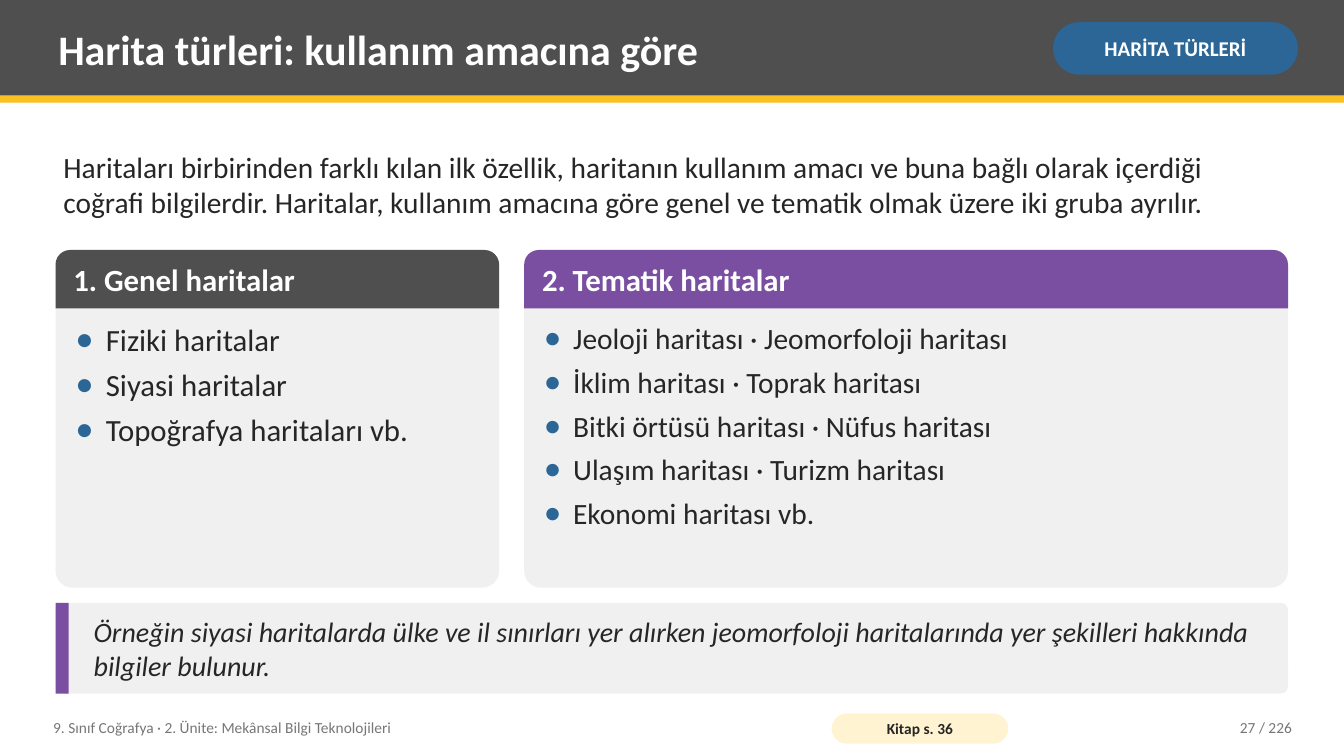
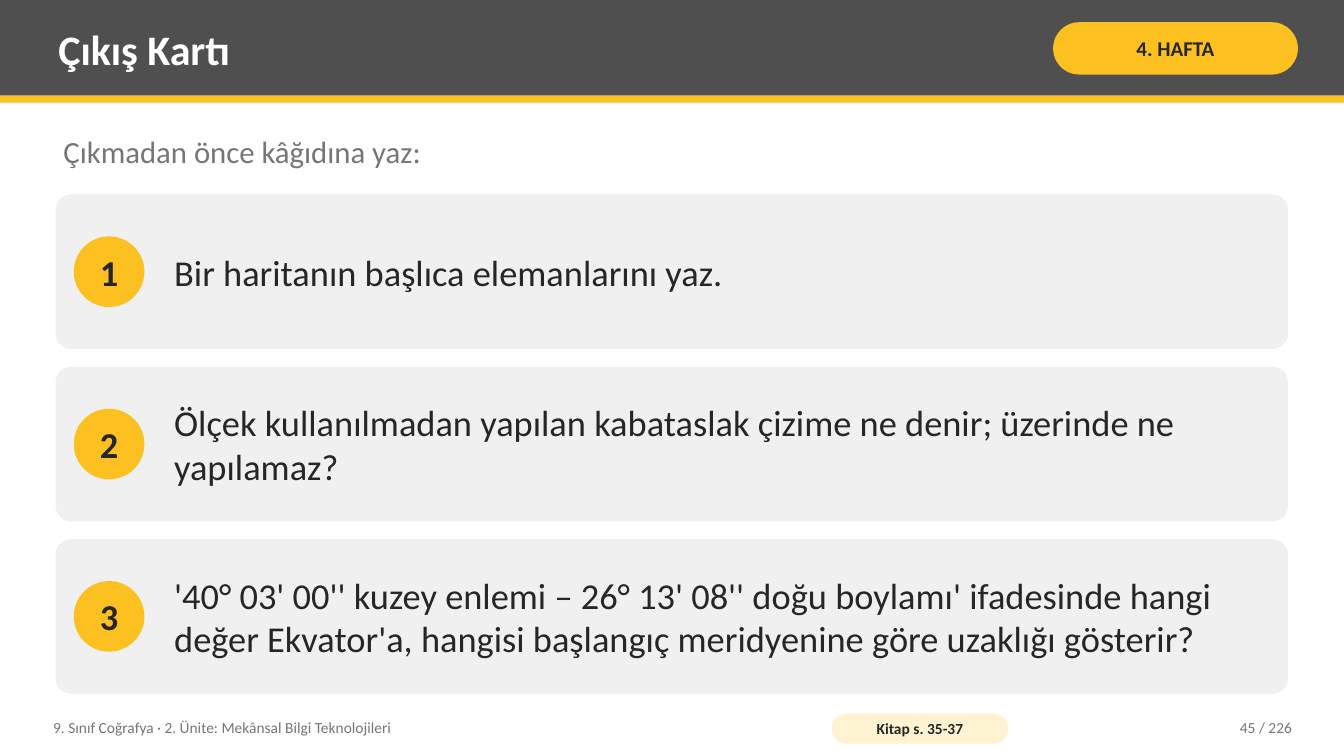
from dataclasses import dataclass

from lxml import etree
from pptx import Presentation
from pptx.dml.color import RGBColor
from pptx.enum import shapes, text
from pptx.oxml import ns
from pptx.util import Cm, Pt


@dataclass(frozen=True)
class Theme:
    font: str = "Calibri"
    dark: str = "4F4F4F"
    gold: str = "FCC021"
    cream: str = "FFF3D1"
    blue: str = "2C6696"
    purple: str = "7A4EA0"
    panel: str = "F0F0F0"
    ink: str = "262626"
    muted: str = "767676"
    white: str = "FFFFFF"
    title: int = 30
    question: int = 26
    heading: int = 22
    body: int = 21
    quote: int = 20
    tag: int = 15
    footer: int = 11


T = Theme()
SHAPE = shapes.MSO_SHAPE
ALIGN = text.PP_ALIGN
ANCHOR = text.MSO_ANCHOR

SLIDE_W, SLIDE_H = 33.87, 19.05
LEFT, WIDTH, BOTTOM = 1.4, 31.06, 17.48

COURSE = "9. Sınıf Coğrafya · 2. Ünite: Mekânsal Bilgi Teknolojileri"
TOTAL = 226

MAP_TYPES = {
    "title": "Harita türleri: kullanım amacına göre",
    "tag": ("HARİTA TÜRLERİ", T.blue, T.white),
    "book": "Kitap s. 36",
    "page": 27,
    "intro": "Haritaları birbirinden farklı kılan ilk özellik, haritanın kullanım amacı "
             "ve buna bağlı olarak içerdiği coğrafi bilgilerdir. Haritalar, kullanım "
             "amacına göre genel ve tematik olmak üzere iki gruba ayrılır.",
    "cards": [
        ("1. Genel haritalar", T.dark, 11.18, T.heading, [
            "Fiziki haritalar",
            "Siyasi haritalar",
            "Topoğrafya haritaları vb.",
        ]),
        ("2. Tematik haritalar", T.purple, 19.25, T.body, [
            "Jeoloji haritası · Jeomorfoloji haritası",
            "İklim haritası · Toprak haritası",
            "Bitki örtüsü haritası · Nüfus haritası",
            "Ulaşım haritası · Turizm haritası",
            "Ekonomi haritası vb.",
        ]),
    ],
    "example": "Örneğin siyasi haritalarda ülke ve il sınırları yer alırken jeomorfoloji "
               "haritalarında yer şekilleri hakkında bilgiler bulunur.",
}

EXIT_CARD = {
    "title": "Çıkış Kartı",
    "tag": ("4. HAFTA", T.gold, T.ink),
    "book": "Kitap s. 35-37",
    "page": 45,
    "prompt": "Çıkmadan önce kâğıdına yaz:",
    "questions": [
        "Bir haritanın başlıca elemanlarını yaz.",
        "Ölçek kullanılmadan yapılan kabataslak çizime ne denir; üzerinde ne yapılamaz?",
        "'40° 03' 00'' kuzey enlemi – 26° 13' 08'' doğu boylamı' ifadesinde hangi değer "
        "Ekvator'a, hangisi başlangıç meridyenine göre uzaklığı gösterir?",
    ],
}


def write(sp, lines, size, color, bold=False, italic=False, align=ALIGN.LEFT,
          anchor=ANCHOR.MIDDLE, inset=(0.2, 0.1)):
    tf = sp.text_frame
    tf.word_wrap = True
    tf.vertical_anchor = anchor
    tf.margin_left = tf.margin_right = Cm(inset[0])
    tf.margin_top = tf.margin_bottom = Cm(inset[1])
    tf.text = "\n".join(lines)
    for p in tf.paragraphs:
        p.alignment = align
        for r in p.runs:
            f = r.font
            f.name, f.size, f.bold, f.italic = T.font, Pt(size), bold, italic
            f.color.rgb = RGBColor.from_string(color)
    return tf


def label(s, box, content, size, color, **style):
    sp = s.shapes.add_textbox(*map(Cm, box))
    lines = [content] if isinstance(content, str) else content
    return write(sp, lines, size, color, **style)


def block(s, kind, box, fill, *adjust):
    sp = s.shapes.add_shape(kind, *map(Cm, box))
    sp.shadow.inherit = False
    sp.fill.solid()
    sp.fill.fore_color.rgb = RGBColor.from_string(fill)
    sp.line.fill.background()
    for i, value in enumerate(adjust):
        sp.adjustments[i] = value
    return sp


def pill(s, box, fill, content, size, color, inset):
    sp = block(s, SHAPE.ROUNDED_RECTANGLE, box, fill, 0.5)
    write(sp, [content], size, color, bold=True, align=ALIGN.CENTER, inset=inset)


def add_bullets(tf, indent):
    for p in tf.paragraphs:
        pPr = p._p.get_or_add_pPr()
        pPr.set("marL", str(Cm(indent)))
        pPr.set("indent", str(-Cm(indent)))
        clr = etree.SubElement(pPr, ns.qn("a:buClr"))
        etree.SubElement(clr, ns.qn("a:srgbClr"), val=T.blue)
        etree.SubElement(pPr, ns.qn("a:buSzPct"), val="120000")
        etree.SubElement(pPr, ns.qn("a:buFont"), typeface=T.font)
        etree.SubElement(pPr, ns.qn("a:buChar"), char="•")
    for p in tf.paragraphs[:-1]:
        p.space_after = Pt(6)


def new_slide(prs, data):
    s = prs.slides.add_slide(prs.slide_layouts[6])
    block(s, SHAPE.RECTANGLE, (0, 0, SLIDE_W, 2.41), T.dark)
    block(s, SHAPE.RECTANGLE, (0, 2.41, SLIDE_W, 0.18), T.gold)
    label(s, (1.27, 0.18, 24.77, 2.08), data["title"], T.title, T.white, bold=True)
    tag, fill, color = data["tag"]
    pill(s, (26.54, 0.56, 6.17, 1.32), fill, tag, T.tag, color, (0.13, 0.05))
    label(s, (1.14, 17.88, 19.3, 0.91), COURSE, T.footer, T.muted)
    pill(s, (20.96, 17.98, 4.45, 0.76), T.cream, data["book"], T.footer, T.ink, (0.1, 0))
    label(s, (28.7, 17.88, 4.06, 0.91), f"{data['page']} / {TOTAL}", T.footer, T.muted,
          align=ALIGN.RIGHT)
    return s


def map_types_slide(prs, data):
    s = new_slide(prs, data)
    label(s, (LEFT, 3.3, WIDTH, 2.67), data["intro"], T.body, T.ink)

    top, height, head = 6.3, 8.51, 1.47
    cards = data["cards"]
    gap = (WIDTH - sum(card[2] for card in cards)) / (len(cards) - 1)
    x = LEFT
    for heading, color, w, size, items in cards:
        block(s, SHAPE.ROUNDED_RECTANGLE, (x, top, w, height), T.panel, 0.05)
        block(s, SHAPE.ROUND_2_SAME_RECTANGLE, (x, top, w, head), color, 0.25, 0)
        label(s, (x + 0.25, top, w - 0.5, head), heading, T.heading, T.white, bold=True)
        tf = label(s, (x + 0.3, top + head + 0.2, w - 0.6, height - head - 0.4), items,
                   size, T.ink, anchor=ANCHOR.TOP)
        add_bullets(tf, 0.035 * size)
        x += w + gap

    h = 2.29
    y = BOTTOM - h
    block(s, SHAPE.ROUNDED_RECTANGLE, (LEFT, y, WIDTH, h), T.panel, 0.08)
    block(s, SHAPE.RECTANGLE, (LEFT, y, 0.33, h), T.purple)
    label(s, (LEFT + 0.76, y, WIDTH - 1.14, h), data["example"], T.quote, T.ink, italic=True)


def exit_card_slide(prs, data):
    s = new_slide(prs, data)
    label(s, (LEFT, 3.25, WIDTH, 1.4), data["prompt"], T.heading, T.muted, anchor=ANCHOR.TOP)

    top, gap, disc = 4.9, 0.45, 1.78
    questions = data["questions"]
    h = (BOTTOM - top - gap * (len(questions) - 1)) / len(questions)
    for i, question in enumerate(questions):
        y = top + i * (h + gap)
        block(s, SHAPE.ROUNDED_RECTANGLE, (LEFT, y, WIDTH, h), T.panel, 0.1)
        sp = block(s, SHAPE.OVAL, (LEFT + 0.46, y + (h - disc) / 2, disc, disc), T.gold)
        write(sp, [str(i + 1)], T.question, T.ink, bold=True, align=ALIGN.CENTER, inset=(0, 0))
        label(s, (LEFT + 2.79, y, WIDTH - 3.3, h), question, T.question, T.ink)


def main():
    prs = Presentation()
    prs.slide_width, prs.slide_height = Cm(SLIDE_W), Cm(SLIDE_H)
    map_types_slide(prs, MAP_TYPES)
    exit_card_slide(prs, EXIT_CARD)
    prs.save("out.pptx")


if __name__ == "__main__":
    main()
